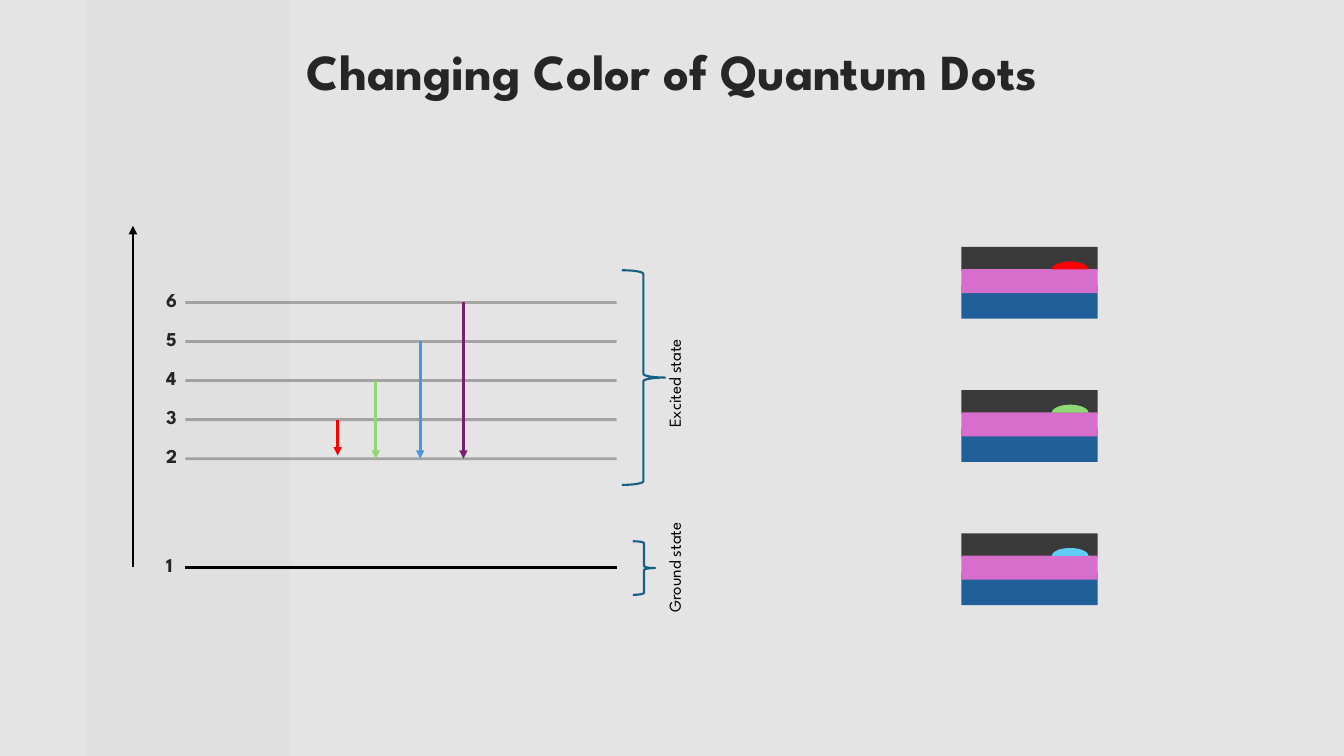
"""Builds the slide on how energy levels change the color of quantum dots."""
import math

from lxml import etree
from pptx import Presentation
from pptx import util as u
from pptx.dml.color import RGBColor
from pptx.enum import shapes, text
from pptx.oxml import ns

TITLE = "Changing Color of Quantum Dots"
EXCITED_LEVELS = [6, 5, 4, 3, 2]
GROUND_LEVEL = 1
EMISSIONS = [
    {"level": 6, "x": 11.68, "end": 11.56, "color": "violet"},
    {"level": 5, "x": 10.59, "end": 11.56, "color": "blue"},
    {"level": 4, "x": 9.47, "end": 11.56, "color": "green"},
    {"level": 3, "x": 8.51, "end": 11.48, "color": "red"},
]
STATES = [
    {"name": "Excited state ", "brace": (15.67, 6.81, 1.09, 5.41), "label": (16.61, 8.13, 1.02, 2.97)},
    {"name": "Ground state ", "brace": (15.95, 13.64, 0.56, 1.35), "label": (16.61, 12.45, 1.02, 3.61)},
]
DOTS = ["red", "green", "cyan"]
LAYERS = [("cap", 0, 0.61), ("substrate", 0.97, 0.84), ("film", 0.56, 0.61)]

THEME = {
    "font": "League Spartan",
    "size": {"title": 36, "level": 14, "state": 12},
    "weight": {"line": 2, "brace": 1.5},
    "color": {
        "backdrop": "BFBFBF", "strip": "808080", "ink": "262626", "black": "000000",
        "brace": "156082", "cap": "3A3A3A", "substrate": "215F9A", "film": "D86ECC",
        "violet": "78206E", "blue": "4E95D9", "green": "8ED973", "red": "FF0000", "cyan": "61CBF4",
    },
}

WIDTH, HEIGHT = 33.87, 19.05
LEVEL_LEFT, LEVEL_RIGHT = 4.67, 15.54
LEVEL_TOP, LEVEL_BOTTOM, GROUND_Y = 7.62, 11.56, 14.3
AXIS_X, AXIS_TOP = 3.35, 5.69
STACK_LEFT, STACK_TOP, STACK_WIDTH, STACK_STEP = 24.23, 6.22, 3.43, 3.61
DOT_CENTER, DOT_BASE, DOT_RADIUS, DOT_HEIGHT = 26.97, 0.57, 0.46, 0.2
DOT_STEPS = 32

deck = Presentation()
deck.slide_width, deck.slide_height = u.Cm(WIDTH), u.Cm(HEIGHT)
slide = deck.slides.add_slide(deck.slide_layouts[6])


def cm(*lengths):
    return [u.Cm(length) for length in lengths]


def paint(fill, color, opacity=100):
    fill.solid()
    fill.fore_color.rgb = RGBColor.from_string(THEME["color"][color])
    if opacity < 100:
        tint = fill._xPr.find(".//" + ns.qn("a:srgbClr"))
        etree.SubElement(tint, ns.qn("a:alpha"), val=str(opacity * 1000))


def finish(shape, color, opacity=100):
    shape.shadow.inherit = False
    paint(shape.fill, color, opacity)
    shape.line.fill.background()


def add_block(box, color, opacity=100):
    block = slide.shapes.add_shape(shapes.MSO_SHAPE.RECTANGLE, *cm(*box))
    finish(block, color, opacity)


def add_label(box, words, size, color="ink", bold=True, align=text.PP_ALIGN.CENTER, upright=True):
    label = slide.shapes.add_textbox(*cm(*box))
    frame = label.text_frame
    frame.word_wrap = True
    frame.auto_size = text.MSO_AUTO_SIZE.SHAPE_TO_FIT_TEXT
    if not upright:
        frame._txBody.bodyPr.set("vert", "vert270")
    paragraph = frame.paragraphs[0]
    paragraph.alignment = align
    run = paragraph.add_run()
    run.text = words
    run.font.name = THEME["font"]
    run.font.size = u.Pt(THEME["size"][size])
    run.font.bold = bold
    run.font.color.rgb = RGBColor.from_string(THEME["color"][color])


def add_line(start, end, color, opacity=100, arrow=False):
    connector = slide.shapes.add_connector(shapes.MSO_CONNECTOR.STRAIGHT, *cm(*start, *end))
    connector.line.width = u.Pt(THEME["weight"]["line"])
    paint(connector.line.fill, color, opacity)
    if arrow:
        etree.SubElement(connector.line._ln, ns.qn("a:tailEnd"), type="triangle")
    etree.SubElement(connector._element.spPr, ns.qn("a:effectLst"))


def add_level(number, y, opacity=100):
    add_label((3.94, y - 0.5, 0.74, 0.86), str(number), "level", align=text.PP_ALIGN.LEFT)
    add_line((LEVEL_LEFT, y), (LEVEL_RIGHT, y), "black", opacity)


def add_state(state):
    brace = slide.shapes.add_shape(shapes.MSO_SHAPE.RIGHT_BRACE, *cm(*state["brace"]))
    brace.shadow.inherit = False
    brace.fill.background()
    brace.line.width = u.Pt(THEME["weight"]["brace"])
    paint(brace.line.fill, "brace")
    add_label(state["label"], state["name"], "state", "black", bold=False, upright=False)


def add_dot(base, color):
    angles = [math.pi * step / DOT_STEPS for step in range(DOT_STEPS + 1)]
    rim = [cm(DOT_CENTER - DOT_RADIUS * math.cos(a), base - DOT_HEIGHT * math.sin(a)) for a in angles]
    outline = slide.shapes.build_freeform(*rim[0])
    outline.add_line_segments(rim[1:], close=True)
    finish(outline.convert_to_shape(), color)


def main():
    add_block((0, 0, WIDTH, HEIGHT), "backdrop", 42)
    add_block((2.16, 0, 5.13, HEIGHT), "strip", 4)
    add_label((5.74, 0.89, 22.4, 1.8), TITLE, "title")

    step = (LEVEL_BOTTOM - LEVEL_TOP) / (len(EXCITED_LEVELS) - 1)
    level_y = {level: LEVEL_TOP + i * step for i, level in enumerate(EXCITED_LEVELS)}
    for level, y in level_y.items():
        add_level(level, y, 27)
    add_level(GROUND_LEVEL, GROUND_Y)

    for emission in EMISSIONS:
        x = emission["x"]
        add_line((x, level_y[emission["level"]]), (x, emission["end"]), emission["color"], arrow=True)
    add_line((AXIS_X, GROUND_Y), (AXIS_X, AXIS_TOP), "black", arrow=True)

    for state in STATES:
        add_state(state)

    for i, dot in enumerate(DOTS):
        top = STACK_TOP + i * STACK_STEP
        for layer, offset, thickness in LAYERS:
            add_block((STACK_LEFT, top + offset, STACK_WIDTH, thickness), layer)
        add_dot(top + DOT_BASE, dot)

    deck.save("out.pptx")


if __name__ == "__main__":
    main()
